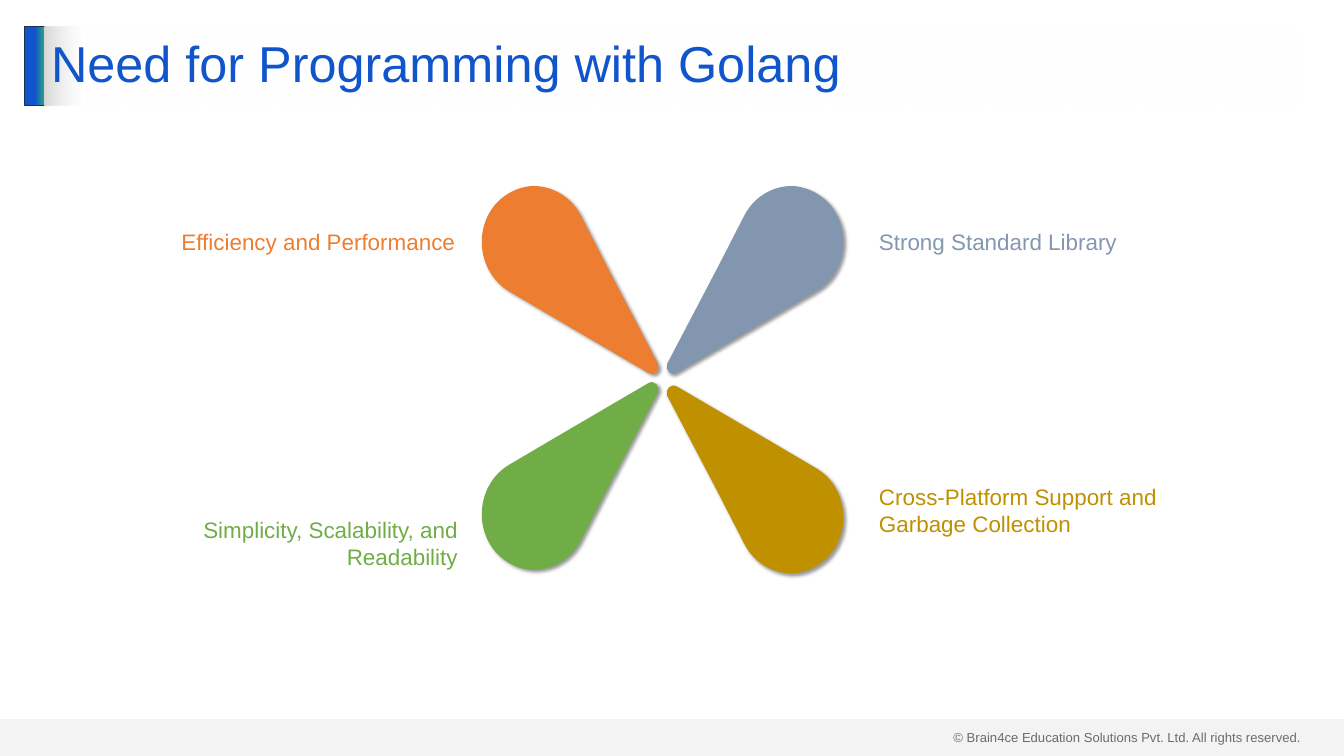
from lxml.etree import SubElement
from pptx import Presentation
from pptx.dml.color import RGBColor
from pptx.enum.shapes import MSO_SHAPE
from pptx.enum.text import MSO_ANCHOR, MSO_AUTO_SIZE, PP_ALIGN
from pptx.oxml.ns import qn
from pptx.util import Inches, Pt

COLORS = {
    "blue": "1155CC", "teal": "2EA87D", "navy": "1C3052", "white": "FFFFFF",
    "grey": "D8D8D8", "footer": "404040", "orange": "ED7D31",
    "slate": "8296B0", "slate_text": "8497B0", "green": "70AD47", "gold": "BF9000",
}
FONT = "Arial"
PETAL_W, PETAL_H = 2.63, 2.79

# Upper-left petal within its box: one point is a line end, three points a curve
PETAL_START = (0.72, 0)
PETAL_OUTLINE = [
    [(1.01, -0.02), (1.31, 0.13), (1.47, 0.43)],
    [(1.87, 1.21)],
    [(2.62, 2.64)],
    [(2.66, 2.73), (2.57, 2.83), (2.48, 2.78)],
    [(1.13, 1.99)],
    [(0.40, 1.56)],
    [(-0.05, 1.29), (-0.14, 0.63), (0.23, 0.24)],
    [(0.37, 0.10), (0.54, 0.02), PETAL_START],
]

# Petal left, top, mirrored in x, in y, colour; then label box, lines, alignment, colour
BENEFITS = [
    (9.92, 2.77, True, False, "slate", (13.08, 3.34, 4.94, 0.5),
     ["Strong Standard Library"], PP_ALIGN.LEFT, "slate_text"),
    (9.92, 5.74, True, True, "gold", (13.08, 7.14, 6.28, 0.9),
     ["Cross-Platform Support and", "Garbage Collection"], PP_ALIGN.LEFT, "gold"),
    (7.17, 5.69, False, True, "green", (1.63, 7.63, 5.18, 0.9),
     ["Simplicity, Scalability, and Readability"], PP_ALIGN.RIGHT, "green"),
    (7.17, 2.77, False, False, "orange", (0.72, 3.34, 6.05, 0.5),
     ["Efficiency and Performance"], PP_ALIGN.RIGHT, "orange"),
]


def rgb(name):
    return RGBColor.from_string(COLORS[name])


def set_font(paragraph, size, color):
    paragraph.font.name = FONT
    paragraph.font.size = Pt(size)
    paragraph.font.color.rgb = rgb(color)


def set_alpha(color_element, percent):
    SubElement(color_element, qn("a:alpha"), val=str(percent * 1000))


def set_gradient(shape, angle, stops):
    shape.fill.gradient()
    shape.fill.gradient_angle = angle
    for stop, (position, color) in zip(shape.fill.gradient_stops, stops):
        stop.position = position
        stop.color.rgb = rgb(color)


def add_bar(slide, box):
    bar = slide.shapes.add_shape(MSO_SHAPE.RECTANGLE, *map(Inches, box))
    bar.shadow.inherit = False
    return bar


def add_footer(slide, left, top, width, height):
    # Copyright line, under the translucent band
    copyright_box = slide.shapes.add_textbox(
        Inches(left + width - 5.91), Inches(top + 0.1), Inches(5.41), Inches(0.33))
    frame = copyright_box.text_frame
    frame.word_wrap = True
    frame.text = "© Brain4ce Education Solutions Pvt. Ltd. All rights reserved."
    set_font(frame.paragraphs[0], 14, "footer")

    band = add_bar(slide, (left, top, width, height))
    band.fill.solid()
    band.fill.fore_color.rgb = rgb("grey")
    set_alpha(band._element.xpath("./p:spPr/a:solidFill/a:srgbClr")[0], 29)
    band.line.fill.background()


def add_header(slide, left, top, width, height):
    # Accent bar
    accent = add_bar(slide, (left, top, 0.3, height))
    set_gradient(accent, 0, [(0.51, "blue"), (1, "teal")])
    accent.line.color.rgb = rgb("navy")
    accent.line.width = Pt(1)

    # Title with a grey fade at its left edge, in front of the bar
    title = slide.shapes.title
    accent._element.addnext(title._element)
    title.left, title.top = Inches(left + 0.29), Inches(top)
    title.width, title.height = Inches(width - 0.29), Inches(height)
    set_gradient(title, 180, [(0.97, "white"), (1, "grey")])
    set_alpha(title._element.xpath(".//a:gs/a:srgbClr")[0], 50)
    frame = title.text_frame
    frame.text = "Need for Programming with Golang"
    frame.auto_size = MSO_AUTO_SIZE.NONE
    frame.vertical_anchor = MSO_ANCHOR.MIDDLE
    paragraph = frame.paragraphs[0]
    paragraph.alignment = PP_ALIGN.LEFT
    paragraph.line_spacing = 0.9
    set_font(paragraph, 54, "blue")


def draw_petal_outline(outline, mirror_x, mirror_y):
    def add_step(tag, points):
        step = SubElement(outline, qn(tag))
        for x, y in points:
            SubElement(step, qn("a:pt"),
                       x=str(Inches(PETAL_W - x if mirror_x else x)),
                       y=str(Inches(PETAL_H - y if mirror_y else y)))

    for child in list(outline):
        outline.remove(child)
    add_step("a:moveTo", [PETAL_START])
    for points in PETAL_OUTLINE:
        add_step("a:lnTo" if len(points) == 1 else "a:cubicBezTo", points)
    add_step("a:close", [])


def add_petal(slide, left, top, mirror_x, mirror_y, color):
    # The freeform spans the petal's box, then takes the curved outline
    right, bottom = left + PETAL_W, top + PETAL_H
    builder = slide.shapes.build_freeform(Inches(left), Inches(top))
    builder.add_line_segments([(Inches(right), Inches(top)),
                               (Inches(right), Inches(bottom))])
    petal = builder.convert_to_shape()
    draw_petal_outline(petal._element.xpath(".//a:path")[0], mirror_x, mirror_y)
    petal.fill.solid()
    petal.fill.fore_color.rgb = rgb(color)
    petal.line.fill.background()

    # Soft shadow to the lower right
    petal.shadow.inherit = False
    effects = petal._element.spPr.find(qn("a:effectLst"))
    shadow = SubElement(effects, qn("a:outerShdw"), blurRad=str(Pt(4)),
                        dist=str(Pt(3)), dir=str(45 * 60000), rotWithShape="0")
    set_alpha(SubElement(shadow, qn("a:srgbClr"), val="000000"), 40)


def add_label(slide, box, lines, alignment, color):
    frame = slide.shapes.add_textbox(*map(Inches, box)).text_frame
    frame.word_wrap = True
    frame.auto_size = MSO_AUTO_SIZE.SHAPE_TO_FIT_TEXT
    frame.vertical_anchor = MSO_ANCHOR.BOTTOM
    frame.margin_left = frame.margin_right = 0
    frame.text = "\n".join(lines)
    for paragraph in frame.paragraphs:
        paragraph.alignment = alignment
        set_font(paragraph, 24, color)


def main():
    prs = Presentation()
    prs.slide_width, prs.slide_height = Inches(20), Inches(11.25)
    slide = prs.slides.add_slide(prs.slide_layouts[5])
    add_footer(slide, 0, 10.7, 20, 0.55)
    add_header(slide, 0.37, 0.39, 18.96, 1.18)
    for left, top, mirror_x, mirror_y, color, box, lines, alignment, text_color in BENEFITS:
        add_petal(slide, left, top, mirror_x, mirror_y, color)
        add_label(slide, box, lines, alignment, text_color)
    prs.save("out.pptx")


if __name__ == "__main__":
    main()
